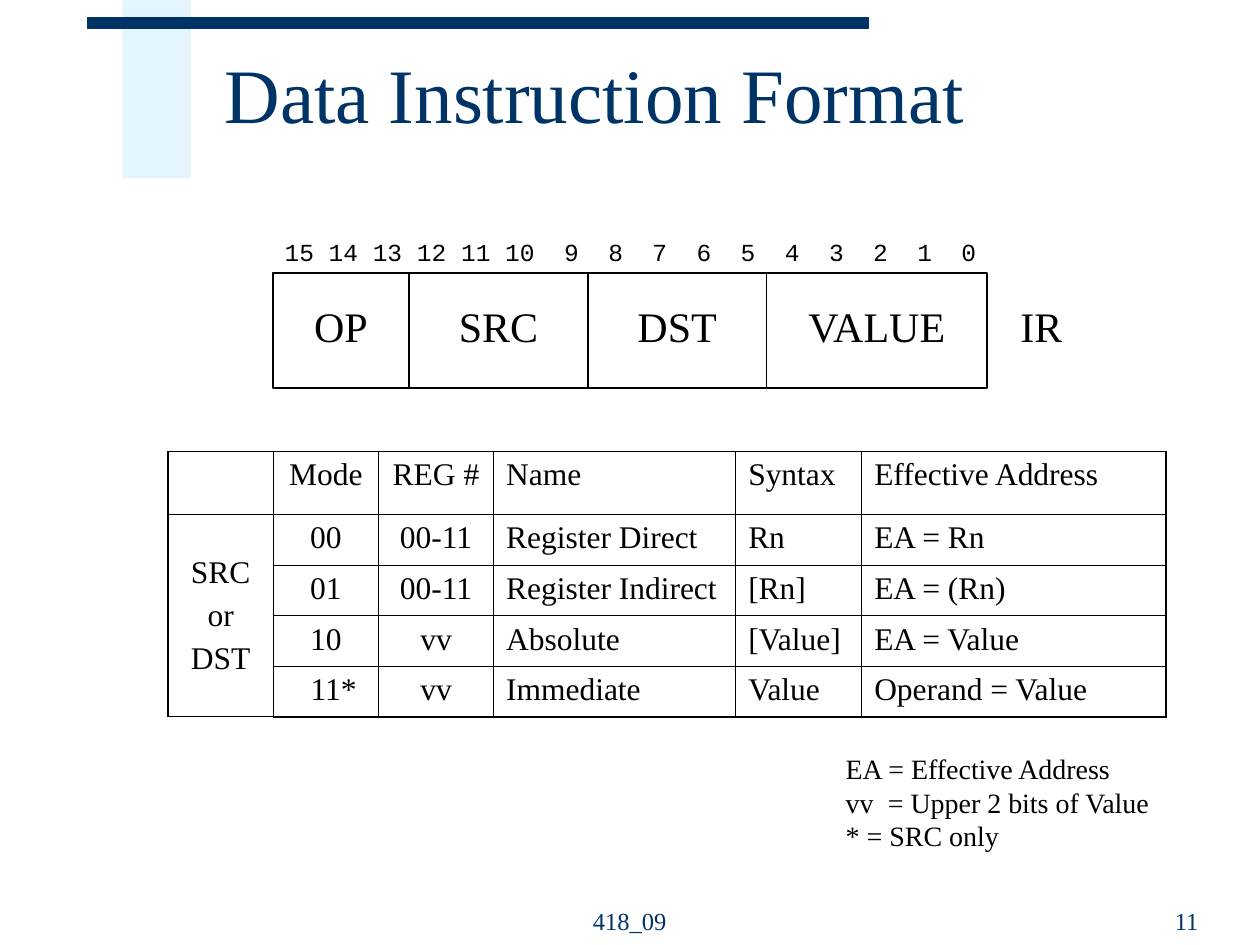
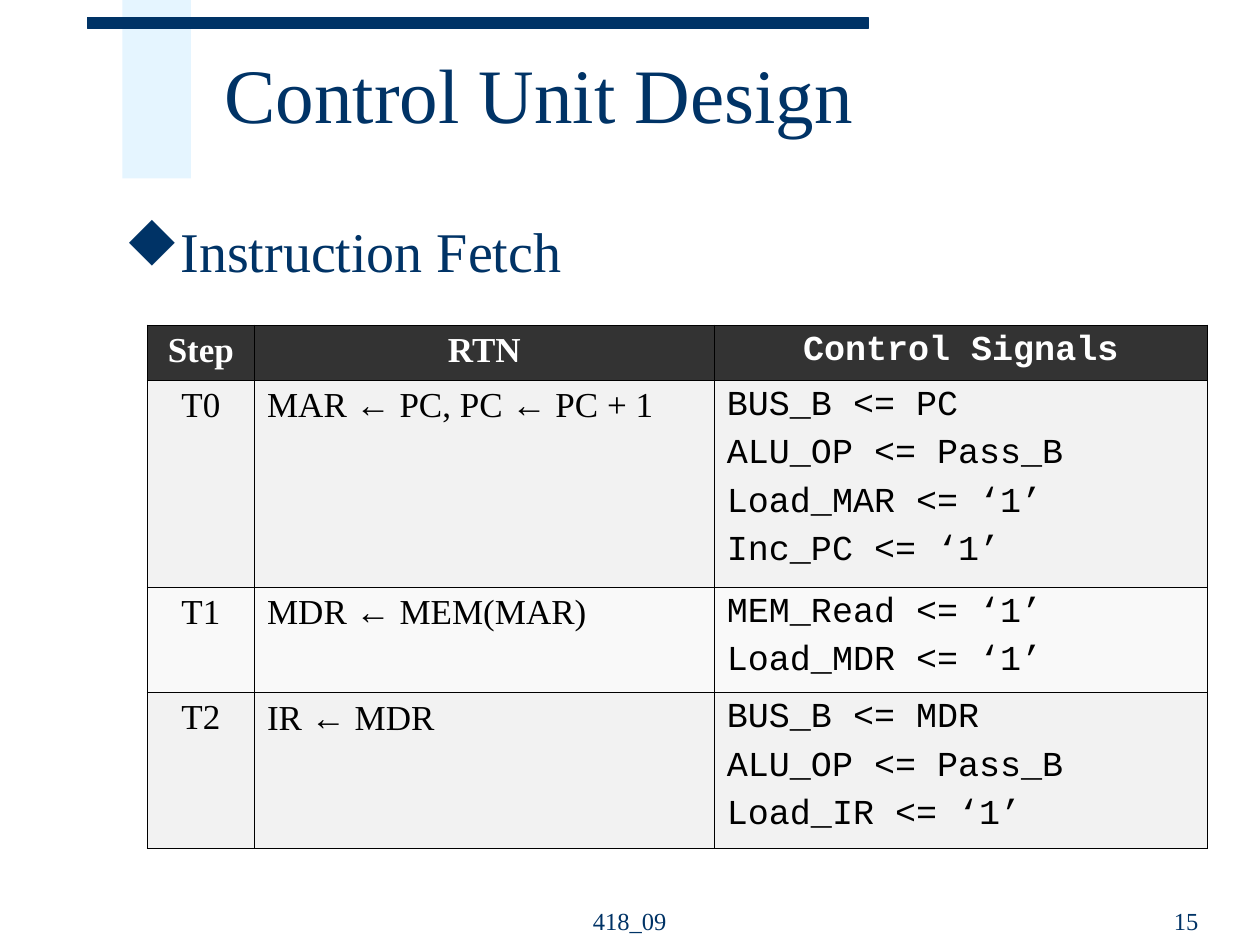
from itertools import accumulate, groupby

from lxml import etree
from pptx import Presentation
from pptx.dml.color import RGBColor
from pptx.enum.shapes import MSO_CONNECTOR as Connector, MSO_SHAPE as Shape
from pptx.enum.text import MSO_ANCHOR as Anchor, PP_ALIGN as Align
from pptx.oxml.ns import qn
from pptx.util import Cm, Pt

COLORS = {
    "navy": "003366",
    "pale": "CCECFF",
    "black": "000000",
    "white": "FFFFFF",
    "header": "333333",
    "odd": "F2F2F2",
    "even": "F9F9F9",
}
SERIF, MONO, ARROW_FONT = "Times New Roman", "Courier New", "Arial"
# The letter u is a diamond in the symbol font
BULLET_FONT, DIAMOND = "Wingdings", "u"
TITLE_ONLY = 5

# Text formats
TITLE = {"size": Pt(44), "name": SERIF, "color": "navy"}
FOOTER = {"size": Pt(14), "name": SERIF, "color": "navy"}
BULLET = {"size": Pt(32), "name": SERIF, "color": "navy"}
BITS = {"size": Pt(14), "name": MONO, "color": "black"}
FIELD = {"size": Pt(24), "name": SERIF, "color": "black"}
NOTE = {"size": Pt(16), "name": SERIF, "color": "black"}
MODE = {"size": Pt(18), "name": SERIF, "color": "black", "bold": False}
STEP = {"size": Pt(20), "name": SERIF, "color": "black", "bold": False}
SIGNAL = {**STEP, "name": MONO}

MODE_ROWS = [
    ["", "Mode", "REG #", "Name", "Syntax", "Effective Address"],
    ["SRC\nor\nDST", "00", "00-11", "Register Direct", "Rn", "EA = Rn"],
    ["", "01", "00-11", "Register Indirect", "[Rn]", "EA = (Rn)"],
    ["", "10", "vv", "Absolute", "[Value]", "EA = Value"],
    ["", "11*", "vv", "Immediate", "Value", "Operand = Value"],
]
FETCH_ROWS = [
    ["Step", "RTN", "Control Signals"],
    ["T0", "MAR ← PC, PC ← PC + 1",
     "BUS_B <= PC\nALU_OP <= Pass_B\nLoad_MAR <= ‘1’\nInc_PC <= ‘1’"],
    ["T1", "MDR ← MEM(MAR)", "MEM_Read <= ‘1’\nLoad_MDR <= ‘1’"],
    ["T2", "IR ← MDR", "BUS_B <= MDR\nALU_OP <= Pass_B\nLoad_IR <= ‘1’"],
]


def rgb(color):
    return RGBColor.from_string(COLORS[color])


def style_font(font, text_format):
    for key, value in text_format.items():
        if key == "color":
            font.color.rgb = rgb(value)
        else:
            setattr(font, key, value)


def write(frame, text, text_format, align=Align.LEFT, space=0, bullet=0, tabs=()):
    """Fill a frame with one paragraph a line; arrows get their own font."""
    for number, line in enumerate(text.split("\n")):
        paragraph = frame.add_paragraph() if number else frame.paragraphs[0]
        paragraph.alignment = align
        if number and space:
            paragraph.space_before = Pt(space)
        if bullet:
            set_bullet(paragraph, bullet)
        if tabs and "\t" in line:
            set_tabs(paragraph, *tabs)
        style_font(paragraph.font, text_format)
        for is_arrow, letters in groupby(line, key=lambda letter: letter == "←"):
            run = paragraph.add_run()
            run.text = "".join(letters)
            style_font(run.font, text_format)
            if is_arrow:
                run.font.name = ARROW_FONT


def set_tabs(paragraph, positions, kind):
    tabs = etree.SubElement(paragraph._p.get_or_add_pPr(), qn("a:tabLst"))
    for position in positions:
        etree.SubElement(tabs, qn("a:tab"), pos=str(Cm(position)), algn=kind)


def set_bullet(paragraph, indent):
    properties = paragraph._p.get_or_add_pPr()
    properties.set("marL", str(Cm(indent)))
    properties.set("indent", str(-Cm(indent)))
    etree.SubElement(properties, qn("a:buFont"), typeface=BULLET_FONT, charset="2")
    etree.SubElement(properties, qn("a:buChar"), char=DIAMOND)


def add_label(slide, box, text, text_format, align=Align.LEFT, anchor=Anchor.TOP, **layout):
    frame = slide.shapes.add_textbox(*map(Cm, box)).text_frame
    frame.word_wrap = True
    frame.vertical_anchor = anchor
    write(frame, text, text_format, align, **layout)


def add_box(slide, box, fill, line=None, width=1):
    shape = slide.shapes.add_shape(Shape.RECTANGLE, *map(Cm, box))
    shape.shadow.inherit = False
    shape.fill.solid()
    shape.fill.fore_color.rgb = rgb(fill)
    if line:
        shape.line.color.rgb = rgb(line)
        shape.line.width = Pt(width)
    else:
        shape.line.fill.background()
    return shape


def add_divider(slide, x, top, bottom):
    line = slide.shapes.add_connector(Connector.STRAIGHT, Cm(x), Cm(top), Cm(x), Cm(bottom))
    line.line.color.rgb = rgb("black")
    line.line.width = Pt(1)
    etree.SubElement(line.element.spPr, qn("a:effectLst"))


def set_borders(cell, widths):
    for side, width in widths.items():
        line = etree.SubElement(cell._tc.get_or_add_tcPr(), qn(f"a:ln{side}"), w=str(Pt(width)))
        fill = etree.SubElement(line, qn("a:solidFill"))
        etree.SubElement(fill, qn("a:srgbClr"), val=COLORS["black"])


def add_grid(slide, left, top, widths, heights, outer):
    """Add an unstyled table whose outer edge has its own width."""
    frame = slide.shapes.add_table(len(heights), len(widths), Cm(left), Cm(top),
                                   Cm(sum(widths)), Cm(sum(heights)))
    table = frame.table
    table.first_row = table.horz_banding = False
    for column, width in zip(table.columns, widths):
        column.width = Cm(width)
    for row, height in zip(table.rows, heights):
        row.height = Cm(height)
    inner, last_row, last_column = 0.45, len(heights) - 1, len(widths) - 1
    for y in range(len(heights)):
        for x in range(len(widths)):
            set_borders(table.cell(y, x), {
                "L": outer if x == 0 else inner,
                "R": outer if x == last_column else inner,
                "T": outer if y == 0 else inner,
                "B": outer if y == last_row else inner,
            })
            table.cell(y, x).fill.background()
    return table


def add_bands(slide, layout):
    """Place the shared bands behind everything on the layout."""
    pale = add_box(slide, (2.47, 0, 1.38, 3.6), "pale")
    color = pale.element.spPr.find(f".//{qn('a:srgbClr')}")
    etree.SubElement(color, qn("a:alpha"), val="50000")
    bar = add_box(slide, (1.77, 0.35, 15.73, 0.23), "navy", "navy", 0.75)
    for place, band in enumerate((pale, bar), start=2):
        layout.shapes.element.insert(place, band.element)


def add_slide(presentation, title, number):
    slide = presentation.slides.add_slide(presentation.slide_layouts[TITLE_ONLY])
    shape = slide.shapes.title
    shape.left, shape.top, shape.width, shape.height = map(Cm, (4.27, 0.43, 20.5, 3.18))
    shape.text_frame.vertical_anchor = Anchor.MIDDLE
    write(shape.text_frame, title, TITLE)
    shape.text_frame.paragraphs[0].line_spacing = 0.85
    # Footer
    add_label(slide, (10.37, 17.71, 4.65, 1.27), "418_09", FOOTER, Align.CENTER, Anchor.BOTTOM)
    add_label(slide, (18.31, 17.71, 6.1, 1.27), number, FOOTER, Align.RIGHT, Anchor.BOTTOM)
    return slide


def add_register(slide):
    """Draw the instruction register with its bit numbers and fields."""
    left, top, height, label_top = 5.5, 5.5, 2.33, 5.93
    fields = {"OP": 2.75, "SRC": 3.6, "DST": 3.6, "VALUE": 4.45}
    add_box(slide, (left, top, sum(fields.values()), height), "white", "black")

    bits = "\t".join(str(bit) for bit in range(15, -1, -1))
    stops = [0.59 + 0.89 * step for step in range(1, 16)]
    add_label(slide, (5.49, 4.65, 14.6, 0.86), bits, BITS, tabs=(stops, "r"))

    edges = list(accumulate(fields.values(), initial=left))
    for edge in edges[1:-1]:
        add_divider(slide, edge, top, top + height)
    for edge, (name, width) in zip(edges, fields.items()):
        add_label(slide, (edge, label_top, width, 1.27), name, FIELD, Align.CENTER)
    add_label(slide, (20.32, label_top, 1.4, 1.27), "IR", FIELD)


def add_mode_table(slide):
    table = add_grid(slide, 3.39, 9.1, [2.12, 2.12, 2.32, 4.88, 2.54, 6.13],
                     [1.27] + [1.02] * 4, 1.08)
    table.cell(1, 0).merge(table.cell(4, 0))
    table.cell(1, 0).vertical_anchor = Anchor.MIDDLE
    for y, row in enumerate(MODE_ROWS):
        for x, text in enumerate(row):
            cell = table.cell(y, x)
            write(cell.text_frame, text, MODE, Align.CENTER if x < 3 else Align.LEFT, 4.5)
    # The starred mode sits a little to the right
    table.cell(4, 1).margin_left = Cm(0.57)


def add_fetch_table(slide):
    table = add_grid(slide, 2.97, 6.55, [2.16, 9.27, 9.94], [1.11, 4.17, 2.12, 3.14], 0.45)
    for y, row in enumerate(FETCH_ROWS):
        fill = "header" if y == 0 else "odd" if y % 2 else "even"
        for x, text in enumerate(row):
            cell = table.cell(y, x)
            cell.fill.solid()
            cell.fill.fore_color.rgb = rgb(fill)
            text_format = SIGNAL if x == 2 else STEP
            if y == 0:
                text_format = {**text_format, "color": "white", "bold": True}
            centered = y == 0 or x == 0
            write(cell.text_frame, text, text_format, Align.CENTER if centered else Align.LEFT, 5)


def main():
    presentation = Presentation()
    presentation.slide_width, presentation.slide_height = Cm(25.4), Cm(19.05)

    # Instruction format
    slide = add_slide(presentation, "Data Instruction Format", "11")
    add_bands(slide, slide.slide_layout)
    add_register(slide)
    add_mode_table(slide)
    notes = "EA = Effective Address\nvv\t= Upper 2 bits of Value\n* = SRC only"
    add_label(slide, (16.8, 15.03, 6.8, 2.29), notes, NOTE, tabs=([0.85], "l"))

    # Instruction fetch
    slide = add_slide(presentation, "Control Unit Design", "15")
    add_label(slide, (2.26, 4.24, 22.1, 2), "Instruction Fetch", BULLET, bullet=0.95)
    add_fetch_table(slide)

    presentation.save("out.pptx")


if __name__ == "__main__":
    main()
